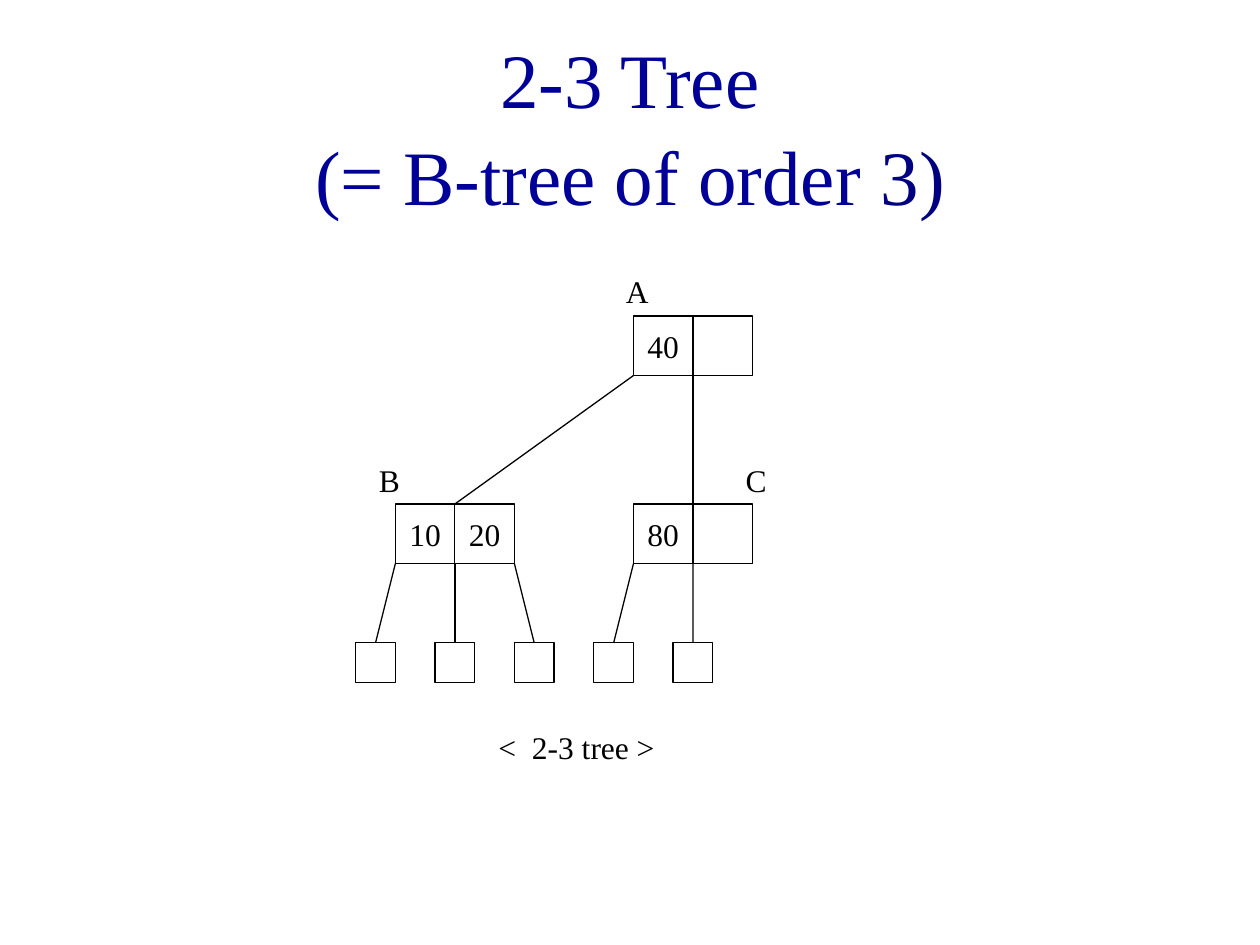
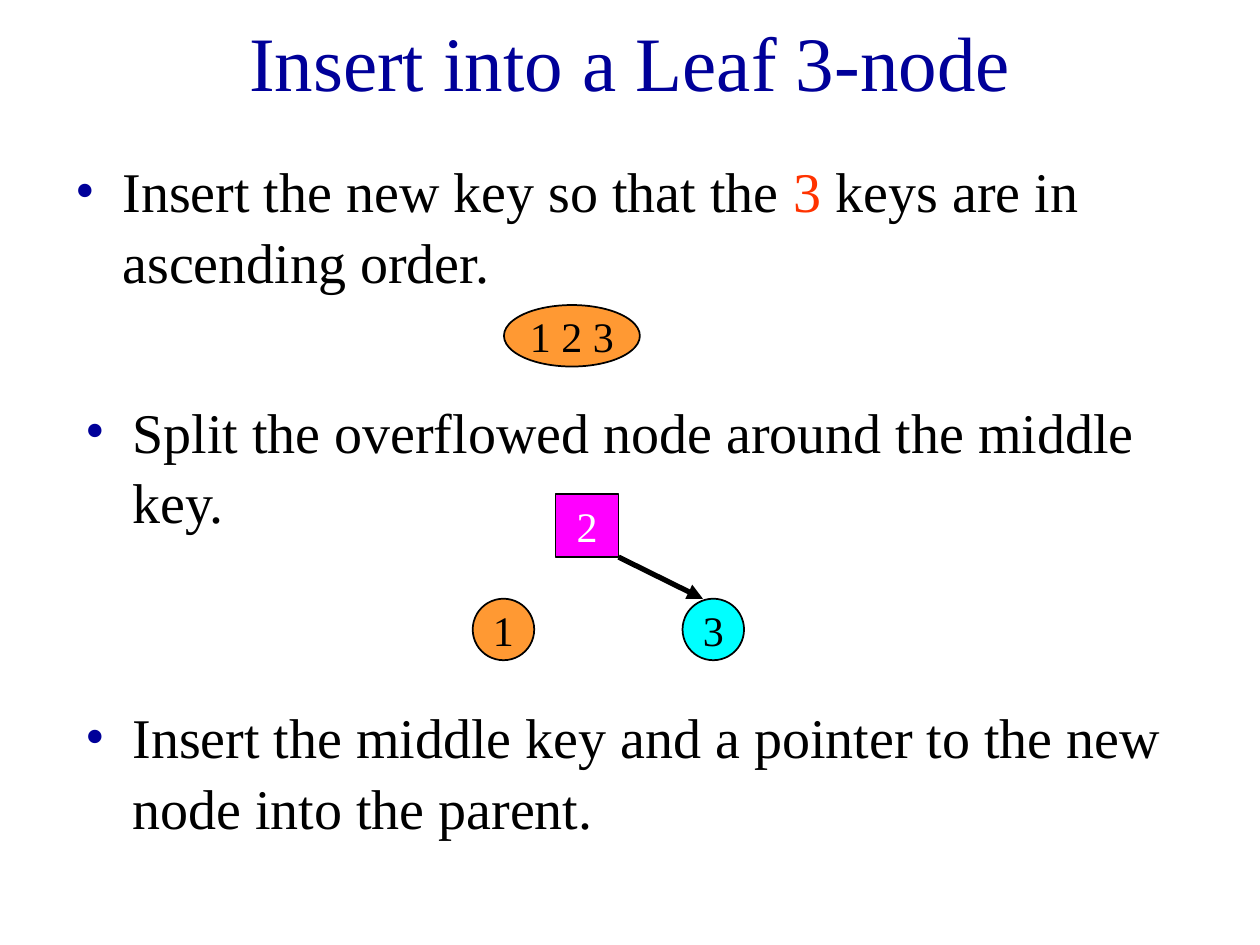
from lxml.etree import SubElement
from pptx import Presentation
from pptx.dml.color import RGBColor
from pptx.enum.shapes import MSO_CONNECTOR, MSO_SHAPE
from pptx.enum.text import MSO_ANCHOR, MSO_AUTO_SIZE, PP_ALIGN
from pptx.oxml.ns import qn
from pptx.util import Cm, Pt

FONT = "Times New Roman"
BLACK = RGBColor(0x00, 0x00, 0x00)
WHITE = RGBColor(0xFF, 0xFF, 0xFF)
NAVY = RGBColor(0x00, 0x00, 0x99)
DARK_NAVY = RGBColor(0x00, 0x00, 0x80)
RED = RGBColor(0xFF, 0x33, 0x00)
ORANGE = RGBColor(0xFF, 0x99, 0x33)
MAGENTA = RGBColor(0xFF, 0x00, 0xFF)
CYAN = RGBColor(0x00, 0xFF, 0xFF)

FRAME = {"word_wrap": True, "auto_size": MSO_AUTO_SIZE.NONE}
TITLE_SIZE, BODY_SIZE, NODE_SIZE, LABEL_SIZE = 44, 32, 24, 18
LINE_SPACING = 1.05
HANGING = Cm(0.95)

# Tree measures in centimetres
CELL, LEAF, LEAF_PITCH = 1.2, 0.8, 1.6
ROOT_TOP, CHILD_TOP, LEAF_TOP = 6.37, 10.16, 12.96


def apply(target, values):
    for name, value in values.items():
        setattr(target, name, value)


class Deck:
    def __init__(self):
        self.presentation = Presentation()
        apply(self.presentation, {"slide_width": Cm(25.4), "slide_height": Cm(19.05)})
        self.slide = None

    def add_runs(self, paragraph, runs, size):
        """Add (text, colour) pairs; a vertical tab breaks the line."""
        for text, colour in runs:
            for index, part in enumerate(text.split("\v")):
                if index:
                    paragraph.add_line_break()
                run = paragraph.add_run()
                run.text = part
                apply(run.font, {"name": FONT, "size": Pt(size)})
                run.font.color.rgb = colour

    def add_slide(self, runs, top, height):
        self.slide = self.presentation.slides.add_slide(self.presentation.slide_layouts[5])
        title = self.slide.shapes.title
        apply(title, {"left": Cm(1.9), "top": Cm(top), "width": Cm(21.6), "height": Cm(height)})
        apply(title.text_frame, {**FRAME, "vertical_anchor": MSO_ANCHOR.MIDDLE})
        paragraph = title.text_frame.paragraphs[0]
        apply(paragraph, {"alignment": PP_ALIGN.CENTER, "line_spacing": LINE_SPACING})
        self.add_runs(paragraph, runs, TITLE_SIZE)

    def text_box(self, left, top, width, height, runs, size, wrap=True):
        box = self.slide.shapes.add_textbox(Cm(left), Cm(top), Cm(width), Cm(height))
        apply(box.text_frame, {**FRAME, "word_wrap": wrap})
        paragraph = box.text_frame.paragraphs[0]
        self.add_runs(paragraph, runs, size)
        return paragraph

    def label(self, left, top, width, text):
        self.text_box(left, top, width, 1.02, [(text, BLACK)], LABEL_SIZE, wrap=False)

    def bullet(self, left, top, height, runs):
        paragraph = self.text_box(left, top, 22.22, height, runs, BODY_SIZE)
        properties = paragraph._p.get_or_add_pPr()
        properties.set("marL", str(HANGING))
        properties.set("indent", str(-HANGING))
        colour = SubElement(properties, qn("a:buClr"))
        SubElement(colour, qn("a:srgbClr"), val=str(NAVY))
        SubElement(properties, qn("a:buFont"), typeface=FONT)
        SubElement(properties, qn("a:buChar"), char="•")
        paragraph.line_spacing = LINE_SPACING

    def node(self, kind, left, top, width, height, text="", size=LABEL_SIZE,
             fill=None, colour=BLACK, line_width=0.75):
        shape = self.slide.shapes.add_shape(kind, Cm(left), Cm(top), Cm(width), Cm(height))
        shape.shadow.inherit = False
        if fill is None:
            shape.fill.background()
        else:
            shape.fill.solid()
            shape.fill.fore_color.rgb = fill
        shape.line.color.rgb = BLACK
        shape.line.width = Pt(line_width)
        if text:
            apply(shape.text_frame, {"word_wrap": False, "vertical_anchor": MSO_ANCHOR.MIDDLE})
            paragraph = shape.text_frame.paragraphs[0]
            paragraph.alignment = PP_ALIGN.CENTER
            self.add_runs(paragraph, [(text, colour)], size)
        return shape

    def line(self, start, end, width=0.75, arrow=False, leaf=None):
        points = [Cm(value) for value in (*start, *end)]
        connector = self.slide.shapes.add_connector(MSO_CONNECTOR.STRAIGHT, *points)
        connector.line.color.rgb = BLACK
        connector.line.width = Pt(width)
        if arrow:
            SubElement(connector.line._get_or_add_ln(), qn("a:tailEnd"), type="triangle")
        SubElement(connector._element.spPr, qn("a:effectLst"))
        if leaf is not None:
            connector.end_connect(leaf, 0)

    def key_cells(self, left, top, keys):
        for index, key in enumerate(keys):
            self.node(MSO_SHAPE.RECTANGLE, left + index * CELL, top, CELL, CELL, key)

    def leaves(self, parent_left, count):
        """Leaves fan out around the middle of their parent node."""
        for index in range(count):
            start = (parent_left + index * CELL, CHILD_TOP + CELL)
            centre = parent_left + CELL + (index - 1) * LEAF_PITCH
            leaf = self.node(MSO_SHAPE.RECTANGLE, centre - LEAF / 2, LEAF_TOP, LEAF, LEAF)
            self.line(start, (centre, LEAF_TOP), leaf=leaf)


def tree_slide(deck):
    deck.add_slide([("2-3 Tree\v(= B-tree of order ", NAVY), ("3)", DARK_NAVY)], 0.43, 4.14)
    root_left, left_child = 12.77, 7.97

    # Nodes and leaves
    deck.key_cells(root_left, ROOT_TOP, ["40", ""])
    for left, keys, leaf_count in [(left_child, ["10", "20"], 3), (root_left, ["80", ""], 2)]:
        deck.key_cells(left, CHILD_TOP, keys)
        deck.leaves(left, leaf_count)

    # Branches from the root
    root_bottom = ROOT_TOP + CELL
    deck.line((root_left, root_bottom), (left_child + CELL, CHILD_TOP))
    deck.line((root_left + CELL, root_bottom), (root_left + CELL, CHILD_TOP))

    # Node names and caption
    for left, top, name in [(12.37, 5.36, "A"), (7.39, 9.17, "B"), (14.78, 9.17, "C")]:
        deck.label(left, top, 0.96, name)
    deck.label(9.8, 14.55, 3.68, "<  2-3 tree >")


def insert_slide(deck):
    deck.add_slide([("Insert into a Leaf 3-node", NAVY)], 0, 2.34)

    # Steps
    deck.bullet(1.27, 2.97, 3.18, [("Insert the new key so that the ", BLACK), ("3 ", RED),
                                   ("keys are in ascending order.", BLACK)])
    steps = [(7.82, "Split the overflowed node around the middle key."),
             (13.97, "Insert the middle key and a pointer to the new node into the parent.")]
    for top, text in steps:
        deck.bullet(1.47, top, 1.9, [(text, BLACK)])

    # Overflowed node, then its split parts
    nodes = [(MSO_SHAPE.OVAL, 10.16, 6.15, 2.74, 1.24, "1 2 3", ORANGE, BLACK),
             (MSO_SHAPE.OVAL, 9.53, 12.07, 1.24, 1.24, "1", ORANGE, BLACK),
             (MSO_SHAPE.RECTANGLE, 11.2, 9.96, 1.27, 1.27, "2", MAGENTA, WHITE),
             (MSO_SHAPE.OVAL, 13.76, 12.07, 1.24, 1.24, "3", CYAN, BLACK)]
    for *outline, text, fill, colour in nodes:
        deck.node(*outline, text, NODE_SIZE, fill, colour, line_width=1)
    deck.line((12.47, 11.23), (14.17, 12.07), width=3, arrow=True)


def main():
    deck = Deck()
    tree_slide(deck)
    insert_slide(deck)
    deck.presentation.save("out.pptx")


if __name__ == "__main__":
    main()
